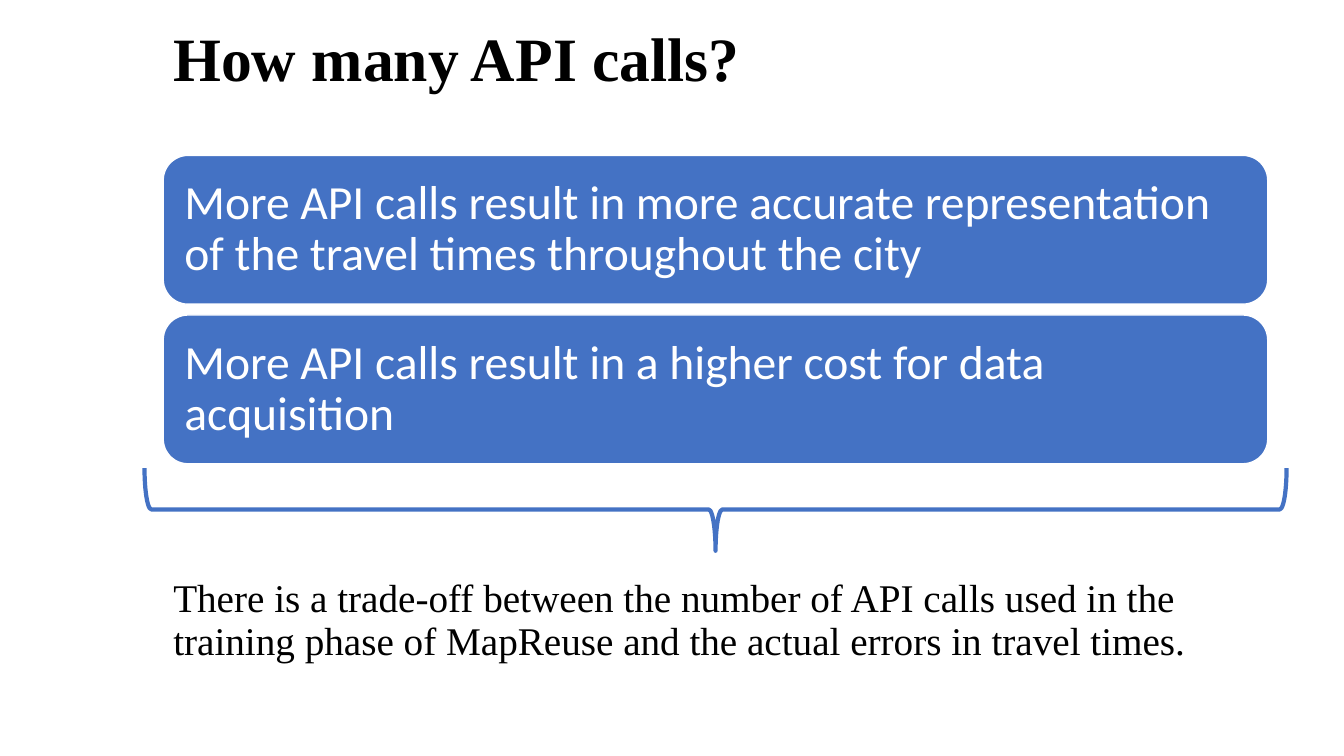
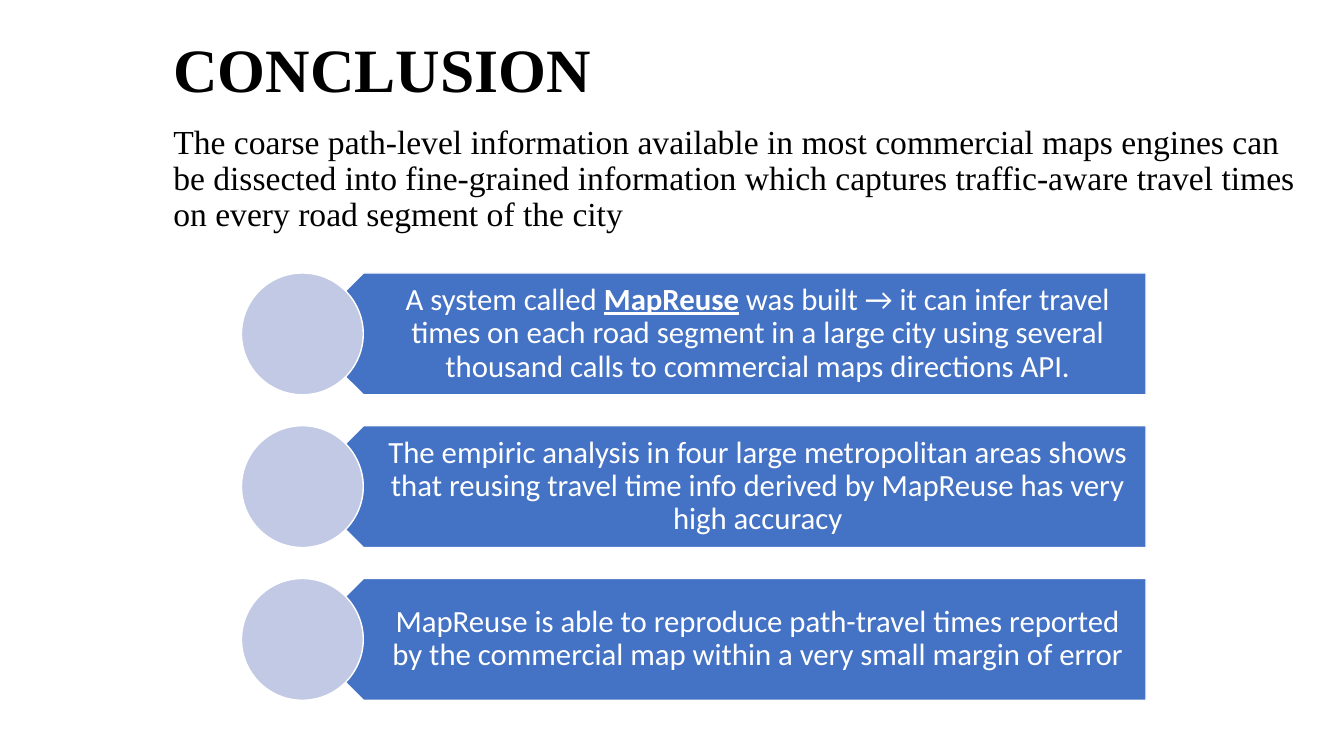
from lxml import etree
from pptx import Presentation
from pptx.dml.color import RGBColor
from pptx.enum.shapes import MSO_SHAPE
from pptx.enum.text import MSO_ANCHOR, MSO_AUTO_SIZE, PP_ALIGN
from pptx.oxml.ns import qn
from pptx.util import Pt

ROUNDED, PENTAGON = MSO_SHAPE.ROUNDED_RECTANGLE, MSO_SHAPE.PENTAGON
CIRCLE, BRACE = MSO_SHAPE.OVAL, MSO_SHAPE.RIGHT_BRACE
LEFT, CENTER = PP_ALIGN.LEFT, PP_ALIGN.CENTER
TOP, MIDDLE = MSO_ANCHOR.TOP, MSO_ANCHOR.MIDDLE
NO_FIT = MSO_AUTO_SIZE.NONE

BLACK = RGBColor(0x00, 0x00, 0x00)
WHITE = RGBColor(0xFF, 0xFF, 0xFF)
BLUE = RGBColor(0x44, 0x72, 0xC4)
PALE_BLUE = RGBColor(0xC1, 0xC9, 0xE4)
SERIF, SANS = "Times New Roman", "Calibri"

MARGIN, CONTENT_W = 116.6, 789
TITLE_H = 72

CALLS = {
    "title": "How many API calls?",
    "title_top": 8,
    "body": "There is a trade-off between the number of API calls used in the "
            "training phase of MapReuse and the actual errors in travel times.",
    "body_box": (MARGIN, 410, CONTENT_W, 90),
    "body_size": 28,
}
EFFECTS = [
    "More API calls result in more accurate representation of the travel "
    "times throughout the city",
    "More API calls result in a higher cost for data acquisition",
]
CONCLUSION = {
    "title": "CONCLUSION",
    "title_top": 16,
    "body": "The coarse path-level information available in most commercial "
            "maps engines can be dissected into fine-grained information which "
            "captures traffic-aware travel times on every road segment of the city",
    "body_box": (MARGIN, 85.7, 832.3, 95),
    "body_size": 24,
}
FINDINGS = [
    [("A system called ", False), ("MapReuse", True),
     (" was built → it can infer travel times on each road segment in a large "
      "city using several thousand calls to commercial maps directions API.", False)],
    "The empiric analysis in four large metropolitan areas shows that reusing "
    "travel time info derived by MapReuse has very high accuracy",
    "MapReuse is able to reproduce path-travel times reported by the commercial "
    "map within a very small margin of error",
]


def write(sp, text, size, font=SANS, color=WHITE, bold=False, align=LEFT,
          anchor=MIDDLE, insets=(7.2, 3.6, 7.2, 3.6)):
    tf = sp.text_frame
    tf.word_wrap = True
    tf.auto_size = NO_FIT
    tf.vertical_anchor = anchor
    tf.margin_left, tf.margin_top, tf.margin_right, tf.margin_bottom = map(Pt, insets)
    p = tf.paragraphs[0]
    pPr = p._p.get_or_add_pPr()
    pPr.set("marL", "0")
    pPr.set("indent", "0")
    etree.SubElement(pPr, qn("a:buNone"))
    p.alignment = align
    p.line_spacing = 0.9
    p.space_before = Pt(0)
    for part, strong in [(text, False)] if isinstance(text, str) else text:
        r = p.add_run()
        r.text = part
        r.font.name, r.font.size = font, Pt(size)
        r.font.color.rgb = color
        r.font.bold = bold or strong
        r.font.underline = strong


def place(sp, box):
    sp.left, sp.top, sp.width, sp.height = map(Pt, box)


def add_shape(s, kind, box, fill=None, line=WHITE, weight=1):
    sp = s.shapes.add_shape(kind, *map(Pt, box))
    sp.shadow.inherit = False
    if fill is None:
        sp.fill.background()
    else:
        sp.fill.solid()
        sp.fill.fore_color.rgb = fill
    sp.line.color.rgb = line
    sp.line.width = Pt(weight)
    return sp


def add_slide(prs, content):
    s = prs.slides.add_slide(prs.slide_layouts[1])
    title, body = s.shapes.title, s.placeholders[1]
    place(title, (MARGIN, content["title_top"], CONTENT_W, TITLE_H))
    write(title, content["title"], 44, font=SERIF, color=BLACK, bold=True)
    place(body, content["body_box"])
    write(body, content["body"], content["body_size"], font=SERIF, color=BLACK,
          anchor=TOP)
    return s


def build_calls(prs):
    s = add_slide(prs, CALLS)
    top, height, step = 111, 106.3, 114
    for i, effect in enumerate(EFFECTS):
        sp = add_shape(s, ROUNDED, (MARGIN, top + i * step, CONTENT_W, height), BLUE)
        write(sp, effect, 34, insets=(10, 10, 10, 10))
    width, depth, brace_top = 815.8, 59, 334.4
    center_x = MARGIN + CONTENT_W / 2
    center_y = brace_top + depth / 2
    brace = add_shape(s, BRACE, (center_x - depth / 2, center_y - width / 2, depth, width),
                      line=BLUE, weight=3)
    brace.rotation = 90


def build_conclusion(prs):
    s = add_slide(prs, CONCLUSION)
    left, width, height = 216, 602.6, 87
    top, step = 195, 109.1
    notch = height / 4
    for i, finding in enumerate(FINDINGS):
        y = top + i * step
        add_shape(s, PENTAGON, (left, y, width, height), BLUE).rotation = 180
        label = s.shapes.add_textbox(*map(Pt, (left + notch, y, width - notch, height)))
        write(label, finding, 22, align=CENTER, insets=(38.4, 6.6, 12.3, 6.6))
        add_shape(s, CIRCLE, (left - height / 2, y, height, height), PALE_BLUE)


def main():
    prs = Presentation()
    prs.slide_width, prs.slide_height = Pt(960), Pt(540)
    build_calls(prs)
    build_conclusion(prs)
    prs.save("out.pptx")


if __name__ == "__main__":
    main()
